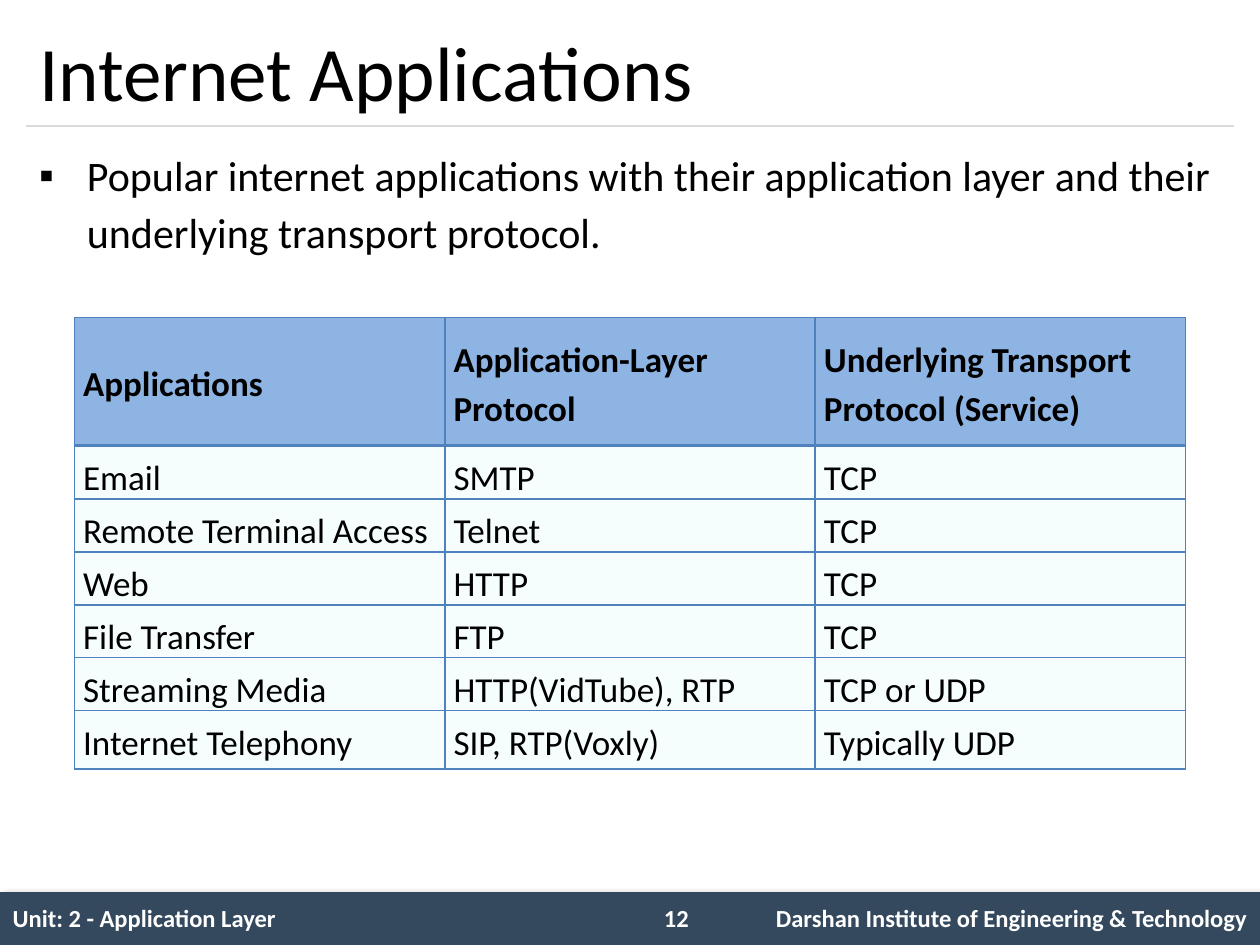
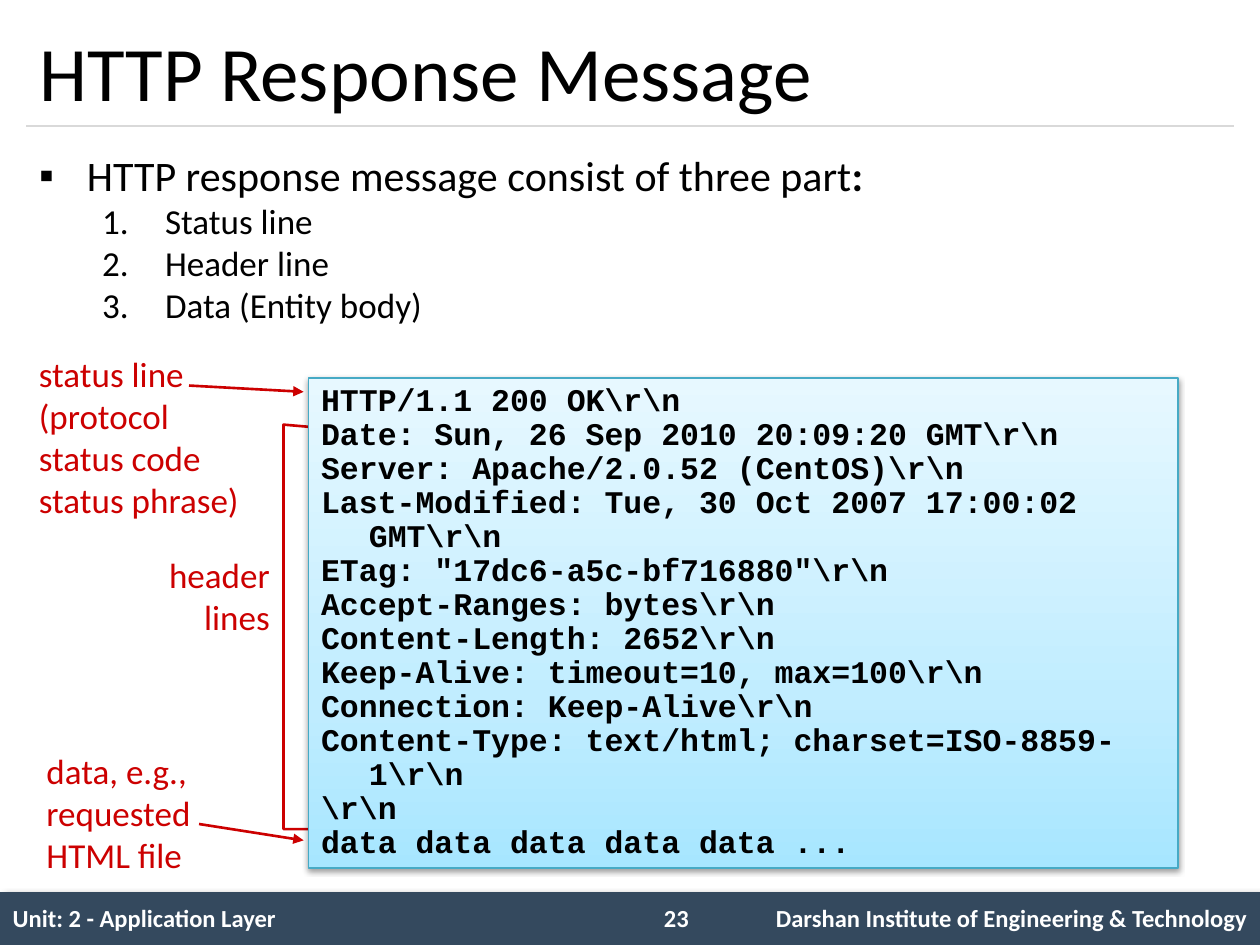
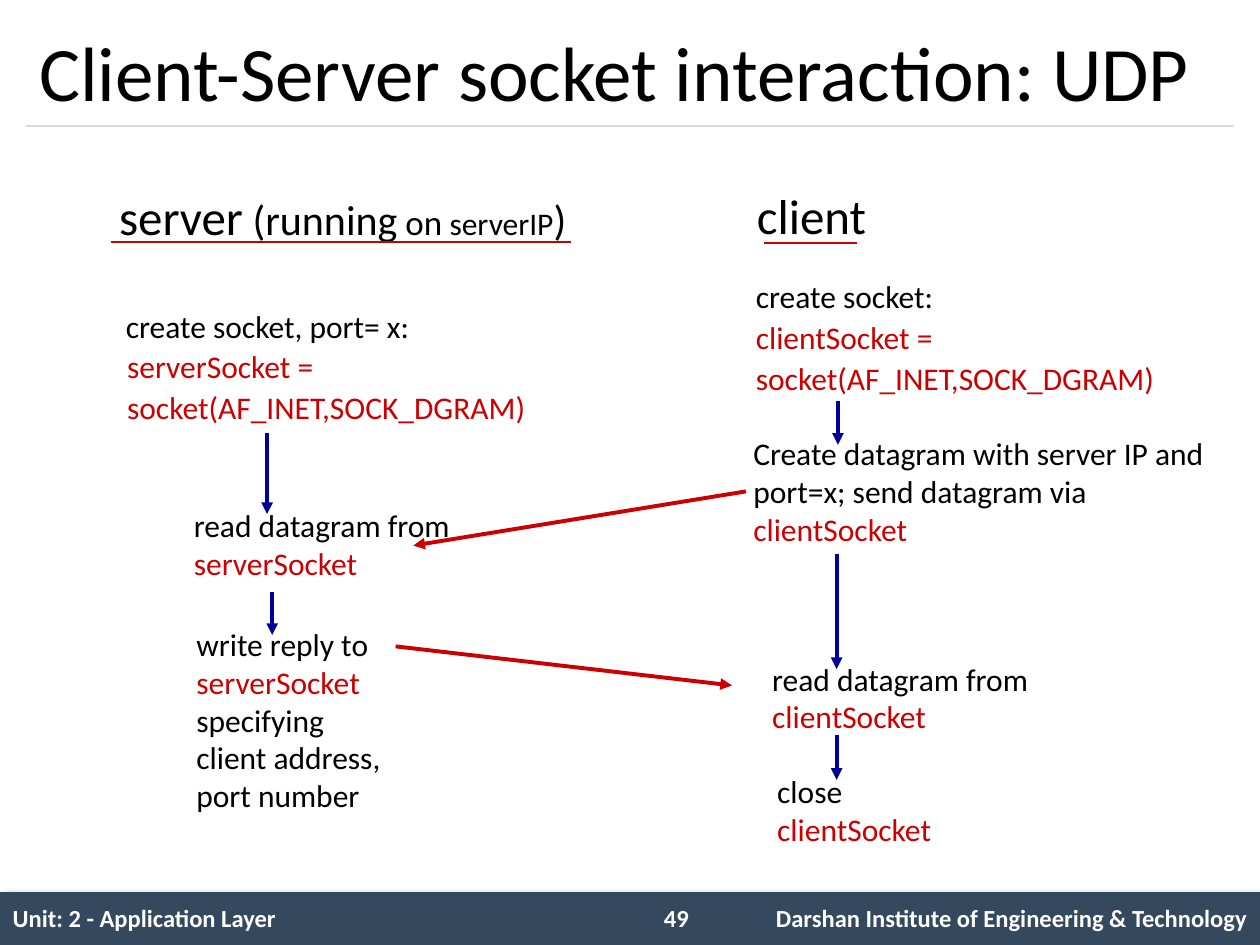
import copy

import pptx
import pptx.dml.color
import pptx.enum.shapes
import pptx.enum.text
import pptx.oxml
import pptx.oxml.ns
import pptx.util

Inches, Pt = pptx.util.Inches, pptx.util.Pt
ALIGN = pptx.enum.text.PP_ALIGN
ANCHOR = pptx.enum.text.MSO_ANCHOR
RECTANGLE = pptx.enum.shapes.MSO_SHAPE.RECTANGLE
STRAIGHT = pptx.enum.shapes.MSO_CONNECTOR.STRAIGHT

WIDTH, HEIGHT = 10, 7.5
MARGIN = 0.21
BAND_TOP = 7.08
BLACK, WHITE, RED, NAVY = "000000", "FFFFFF", "CC0000", "000099"
BAND, RULE, GRID = "34495E", "D9D9D9", "4F81BD"
HEAD_FILL, ROW_FILL = "8EB4E3", "F5FDFD"
CODE_LINE = "46AAC5"
CODE_STOPS = [(0, "A7E6FF"), (0.35, "C1EDFF"), (1, "E7F8FF")]
NO_STYLE = "{2D5ABB26-0587-4C30-8999-92F81FD0307C}"

FOOTER = ["Unit: 2 - Application Layer", "", "Darshan Institute of Engineering & Technology"]
FOOTER_COLUMNS = [5.08, 0.67, 4.25]

# Slide titles and page numbers
APPLICATIONS = ("Internet Applications", 12)
RESPONSE = ("HTTP Response Message", 23)
SOCKETS = ("Client-Server socket interaction: UDP", 49)

APPLICATIONS_LEAD = ("Popular internet applications with their application layer "
                     "and their underlying transport protocol.")
PROTOCOLS = [
    ("Applications", "Application-Layer Protocol", "Underlying Transport Protocol (Service)"),
    ("Email", "SMTP", "TCP"),
    ("Remote Terminal Access", "Telnet", "TCP"),
    ("Web", "HTTP", "TCP"),
    ("File Transfer", "FTP", "TCP"),
    ("Streaming Media", "HTTP(VidTube), RTP", "TCP or UDP"),
    ("Internet Telephony", "SIP, RTP(Voxly)", "Typically UDP"),
]

RESPONSE_LEAD = ["HTTP response message consist of three part", (":", {"bold": True})]
RESPONSE_PARTS = ["Status line", "Header line", "Data (Entity body)"]
RESPONSE_CODE = [
    r"HTTP/1.1 200 OK\r\n",
    r"Date: Sun, 26 Sep 2010 20:09:20 GMT\r\n",
    r"Server: Apache/2.0.52 (CentOS)\r\n",
    r"Last-Modified: Tue, 30 Oct 2007 17:00:02 GMT\r\n",
    r'ETag: "17dc6-a5c-bf716880"\r\n',
    r"Accept-Ranges: bytes\r\n",
    r"Content-Length: 2652\r\n",
    r"Keep-Alive: timeout=10, max=100\r\n",
    r"Connection: Keep-Alive\r\n",
    r"Content-Type: text/html; charset=ISO-8859-1\r\n",
    r"\r\n",
    "data data data data data ...",
]
# Box, alignment, lines
CODE_LABELS = [
    ((0.21, 2.75, 1.81, 1.45), ALIGN.LEFT,
     ["status line", "(protocol", "status code", "status phrase)"]),
    ((1.23, 4.34, 1.01, 0.77), ALIGN.RIGHT, ["header", "lines"]),
    ((0.27, 5.9, 1.39, 1.11), ALIGN.LEFT, ["data, e.g.,", "requested", "HTML file"]),
]
CODE_ARROWS = [((1.5, 3.06), (2.41, 3.11)), ((1.58, 6.54), (2.41, 6.67))]
HEADER_BRACKET = [(2.48, 3.39), (2.25, 3.37), (2.25, 6.58), (2.53, 6.58)]

SERVER_SOCKET = [("serverSocket", {"colour": RED})]
CLIENT_SOCKET = [("clientSocket", {"colour": RED})]
SOCKET_STEPS = [
    ((0.9, 2.39, 2.48, 0.4), ["create socket, port= x:"]),
    ((1.44, 3.96, 2.26, 0.71), ["read datagram from", SERVER_SOCKET]),
    ((1.46, 4.9, 1.68, 1.62),
     ["write reply to", SERVER_SOCKET, "specifying", "client address,", "port number"]),
    ((5.9, 2.15, 1.62, 0.4), ["create socket:"]),
    ((5.88, 3.39, 3.82, 1.01),
     ["Create datagram with server IP and", "port=x; send datagram via", CLIENT_SOCKET]),
    ((6.03, 5.18, 2.26, 0.71), ["read datagram from", CLIENT_SOCKET]),
    ((6.07, 6.07, 1.44, 0.71), ["close", CLIENT_SOCKET]),
]
SOCKET_CALLS = [
    ((0.91, 2.72, 3.39, 0.72), ["serverSocket =", "socket(AF_INET,SOCK_DGRAM)"]),
    ((5.9, 2.49, 3.39, 0.72), ["clientSocket =", "socket(AF_INET,SOCK_DGRAM)"]),
]
SIDE_HEADINGS = [
    ((0.83, 1.43, 3.78, 0.57),
     ["server", (" (running", {"size": 24}), (" on", {"size": 20}),
      (" serverIP", {"size": 18}), (")", {"size": 24})]),
    ((5.9, 1.42, 1.08, 0.57), ["client"]),
]
UNDERLINES = [((0.88, 1.92), (4.53, 1.92)), ((6.06, 1.93), (6.8, 1.93))]
STEP_ARROWS = [  # x, top, bottom
    (2.12, 3.44, 4.08), (2.16, 4.7, 5.04),
    (6.65, 3.18, 3.53), (6.64, 4.4, 5.31), (6.64, 5.83, 6.19),
]
MESSAGE_ARROWS = [((5.92, 3.9), (3.28, 4.33)), ((3.14, 5.13), (5.81, 5.44))]


def rgb(value):
    return pptx.dml.color.RGBColor.from_string(value)


def inches(values):
    return [Inches(value) for value in values]


def set_format(target, values):
    for name, value in values.items():
        setattr(target, name, value)


def add_xml(parent, tag, **attributes):
    child = pptx.oxml.parse_xml(f"<a:{tag} {pptx.oxml.ns.nsdecls('a')}/>")
    for name, value in attributes.items():
        child.set(name, str(value))
    parent.append(child)
    return child


def write_runs(paragraph, runs, size=18, colour=BLACK, bold=False, font="Calibri"):
    """Write a string, or a list of strings and (string, changes) pairs."""
    base = {"size": size, "colour": colour, "bold": bold, "name": font}
    for item in [runs] if isinstance(runs, str) else runs:
        text, changes = (item, {}) if isinstance(item, str) else item
        values = {**base, **changes}
        run = paragraph.add_run()
        run.text = text
        run.font.color.rgb = rgb(values.pop("colour"))
        values["size"] = Pt(values["size"])
        set_format(run.font, values)


def write_lines(frame, lines, layout=None, gap=0, hanging=0, **text_format):
    """Write one paragraph a line; gap is the space between them in points."""
    frame.word_wrap = True
    for index, line in enumerate(lines):
        paragraph = frame.paragraphs[0] if index == 0 else frame.add_paragraph()
        paragraph.space_before = Pt(gap if index else 0)
        set_format(paragraph, layout or {})
        if hanging:
            hang(paragraph, hanging, hanging)
        write_runs(paragraph, line, **text_format)


def hang(paragraph, left, hanging):
    properties = paragraph._p.get_or_add_pPr()
    properties.set("marL", str(Inches(left)))
    properties.set("indent", str(-Inches(hanging)))
    return properties


def add_text(slide, box, lines, anchor=ANCHOR.TOP, **options):
    frame = slide.shapes.add_textbox(*inches(box)).text_frame
    frame.vertical_anchor = anchor
    write_lines(frame, lines, **options)


def add_line(slide, start, end, colour, width, arrow=False):
    line = slide.shapes.add_connector(STRAIGHT, *inches(start + end))
    line.line.color.rgb = rgb(colour)
    line.line.width = Pt(width)
    if arrow:
        add_xml(line.line._get_or_add_ln(), "tailEnd", type="triangle")
    add_xml(line.element.spPr, "effectLst")
    return line


def add_shadow(shape, alpha, blur, distance, angle):
    shape.shadow.inherit = False
    effects = shape.element.spPr.find(pptx.oxml.ns.qn("a:effectLst"))
    shadow = add_xml(effects, "outerShdw", blurRad=Pt(blur), dist=Pt(distance),
                     dir=angle * 60000, rotWithShape=0)
    add_xml(add_xml(shadow, "srgbClr", val=BLACK), "alpha", val=alpha * 1000)


def add_row_table(slide, left, top, height, columns):
    """Add a plain one-row table; return its graphic frame and cells."""
    frame = slide.shapes.add_table(1, len(columns), *inches((left, top, sum(columns), height)))
    set_format(frame.table, {"first_row": False, "horz_banding": False})
    for style in frame.element.iter(pptx.oxml.ns.qn("a:tableStyleId")):
        style.text = NO_STYLE
    frame.table.rows[0].height = Inches(height)
    for column, width in zip(frame.table.columns, columns):
        column.width = Inches(width)
    return frame, list(frame.table.rows[0].cells)


def add_borders(cell, bottom_width):
    properties = cell._tc.get_or_add_tcPr()
    for side, width in (("L", 1), ("R", 1), ("T", 1), ("B", bottom_width)):
        border = add_xml(properties, "ln" + side, w=Pt(width))
        add_xml(add_xml(border, "solidFill"), "srgbClr", val=GRID)


def set_up_master(presentation, slide):
    """Place the title and body, and move the rule and footer band to the master."""
    master = presentation.slide_master
    frames = [(MARGIN, 0.12, WIDTH - 2 * MARGIN, 0.88),
              (MARGIN, 1.08, WIDTH - 2 * MARGIN, 5.83)]
    for placeholder, frame in zip(master.placeholders, frames):
        set_format(placeholder, dict(zip(("left", "top", "width", "height"), inches(frame))))

    band = slide.shapes.add_shape(RECTANGLE, *inches((0, BAND_TOP, WIDTH, HEIGHT - BAND_TOP)))
    band.fill.solid()
    band.fill.fore_color.rgb = rgb(BAND)
    band.line.fill.background()
    add_shadow(band, 40, 4, 3, 45)
    rule = add_line(slide, (MARGIN, 1), (WIDTH - MARGIN, 1), RULE, 0.75)
    footer, cells = add_row_table(slide, 0, BAND_TOP, 0.43, FOOTER_COLUMNS)
    for cell, text, alignment in zip(cells, FOOTER, (ALIGN.LEFT, ALIGN.LEFT, ALIGN.RIGHT)):
        cell.vertical_anchor = ANCHOR.MIDDLE
        cell.fill.background()
        if text:
            write_lines(cell.text_frame, [text], {"alignment": alignment},
                        size=14, colour=WHITE, bold=True)
    for number, shape in enumerate((band, rule, footer), 100):
        shape.element.xpath(".//p:cNvPr")[0].set("id", str(number))
        master.shapes.element.append(shape.element)


def add_slide(presentation, layout_name, heading):
    title, page = heading
    slide = presentation.slides.add_slide(presentation.slide_layouts.get_by_name(layout_name))
    if len(presentation.slides) == 1:
        set_up_master(presentation, slide)
    frame = slide.shapes.title.text_frame
    set_format(frame, {"vertical_anchor": ANCHOR.MIDDLE,
                       "auto_size": pptx.enum.text.MSO_AUTO_SIZE.NONE})
    write_lines(frame, [title], {"alignment": ALIGN.LEFT}, size=44)
    add_text(slide, (5.17, 7.12, 0.58, 0.34), [str(page)], size=14, colour=WHITE, bold=True)
    return slide


def write_body(slide, lead, numbered=()):
    frame = slide.placeholders[1].text_frame
    frame.auto_size = pptx.enum.text.MSO_AUTO_SIZE.NONE
    write_lines(frame, [lead], {"line_spacing": 1.14}, hanging=0.38, size=24)
    add_xml(frame.paragraphs[0]._p.get_or_add_pPr(), "buChar", char="▪")
    for text in numbered:
        paragraph = frame.add_paragraph()
        set_format(paragraph, {"level": 1, "space_before": Pt(0)})
        add_xml(hang(paragraph, 1, 0.5), "buAutoNum", type="arabicPeriod")
        write_runs(paragraph, text, size=20)


def build_applications(presentation):
    slide = add_slide(presentation, "Title and Content", APPLICATIONS)
    write_body(slide, APPLICATIONS_LEAD)
    head_top, head_height, row_height, row_step = 2.52, 1.02, 0.46, 0.42
    for index, texts in enumerate(PROTOCOLS):
        head = index == 0
        top = head_top if head else head_top + head_height + (index - 1) * row_step
        cells = add_row_table(slide, 0.59, top, head_height if head else row_height,
                              [2.94] * 3)[1]
        for cell, text in zip(cells, texts):
            set_format(cell, {
                "margin_left": Inches(0.07), "margin_right": Inches(0.07),
                "margin_top": Inches(0.04), "margin_bottom": Inches(0.04),
                "vertical_anchor": ANCHOR.MIDDLE if head else ANCHOR.TOP})
            add_borders(cell, 2 if head else 1)
            cell.fill.solid()
            cell.fill.fore_color.rgb = rgb(HEAD_FILL if head else ROW_FILL)
            write_lines(cell.text_frame, [text], {"line_spacing": 1.15}, size=20, bold=head)


def add_code_box(slide):
    box = slide.shapes.add_shape(RECTANGLE, *inches((2.45, 3, 6.9, 3.89)))
    box.fill.gradient()
    box.fill.gradient_angle = 90
    stop_list = next(box.element.iter(pptx.oxml.ns.qn("a:gsLst")))
    stop_list.append(copy.deepcopy(stop_list[0]))
    for stop, (position, colour) in zip(box.fill.gradient_stops, CODE_STOPS):
        stop.position = position
        stop.color.rgb = rgb(colour)
    box.line.color.rgb = rgb(CODE_LINE)
    box.line.width = Pt(0.75)
    add_shadow(box, 38, 3.1, 1.6, 90)
    box.text_frame.vertical_anchor = ANCHOR.TOP
    write_lines(box.text_frame, RESPONSE_CODE,
                {"alignment": ALIGN.LEFT, "line_spacing": 0.9},
                hanging=0.38, bold=True, font="Courier New")


def build_response(presentation):
    slide = add_slide(presentation, "Title and Content", RESPONSE)
    write_body(slide, RESPONSE_LEAD, RESPONSE_PARTS)
    for box, alignment, lines in CODE_LABELS:
        add_text(slide, box, lines, layout={"alignment": alignment}, size=20, colour=RED)
    for start, end in CODE_ARROWS:
        add_line(slide, start, end, RED, 1.5, arrow=True)
    first, *others = [inches(point) for point in HEADER_BRACKET]
    builder = slide.shapes.build_freeform(*first)
    builder.add_line_segments(others, close=False)
    bracket = builder.convert_to_shape()
    bracket.shadow.inherit = False
    bracket.fill.background()
    bracket.line.color.rgb = rgb(RED)
    bracket.line.width = Pt(1.5)
    add_code_box(slide)


def build_sockets(presentation):
    slide = add_slide(presentation, "Title Only", SOCKETS)
    for box, lines in SOCKET_STEPS:
        add_text(slide, box, lines, ANCHOR.MIDDLE)
    for box, lines in SOCKET_CALLS:
        add_text(slide, box, lines, ANCHOR.MIDDLE, layout={"line_spacing": Pt(20)},
                 gap=3.6, colour=RED)
    for box, runs in SIDE_HEADINGS:
        add_text(slide, box, [runs], ANCHOR.MIDDLE, layout={"alignment": ALIGN.CENTER}, size=28)
    for start, end in UNDERLINES:
        add_line(slide, start, end, RED, 1.5)
    for x, top, bottom in STEP_ARROWS:
        add_line(slide, (x, top), (x, bottom), NAVY, 2.25, arrow=True)
    for start, end in MESSAGE_ARROWS:
        add_line(slide, start, end, RED, 2.25, arrow=True)


def main():
    presentation = pptx.Presentation()
    presentation.slide_width, presentation.slide_height = inches((WIDTH, HEIGHT))
    build_applications(presentation)
    build_response(presentation)
    build_sockets(presentation)
    presentation.save("out.pptx")


if __name__ == "__main__":
    main()
